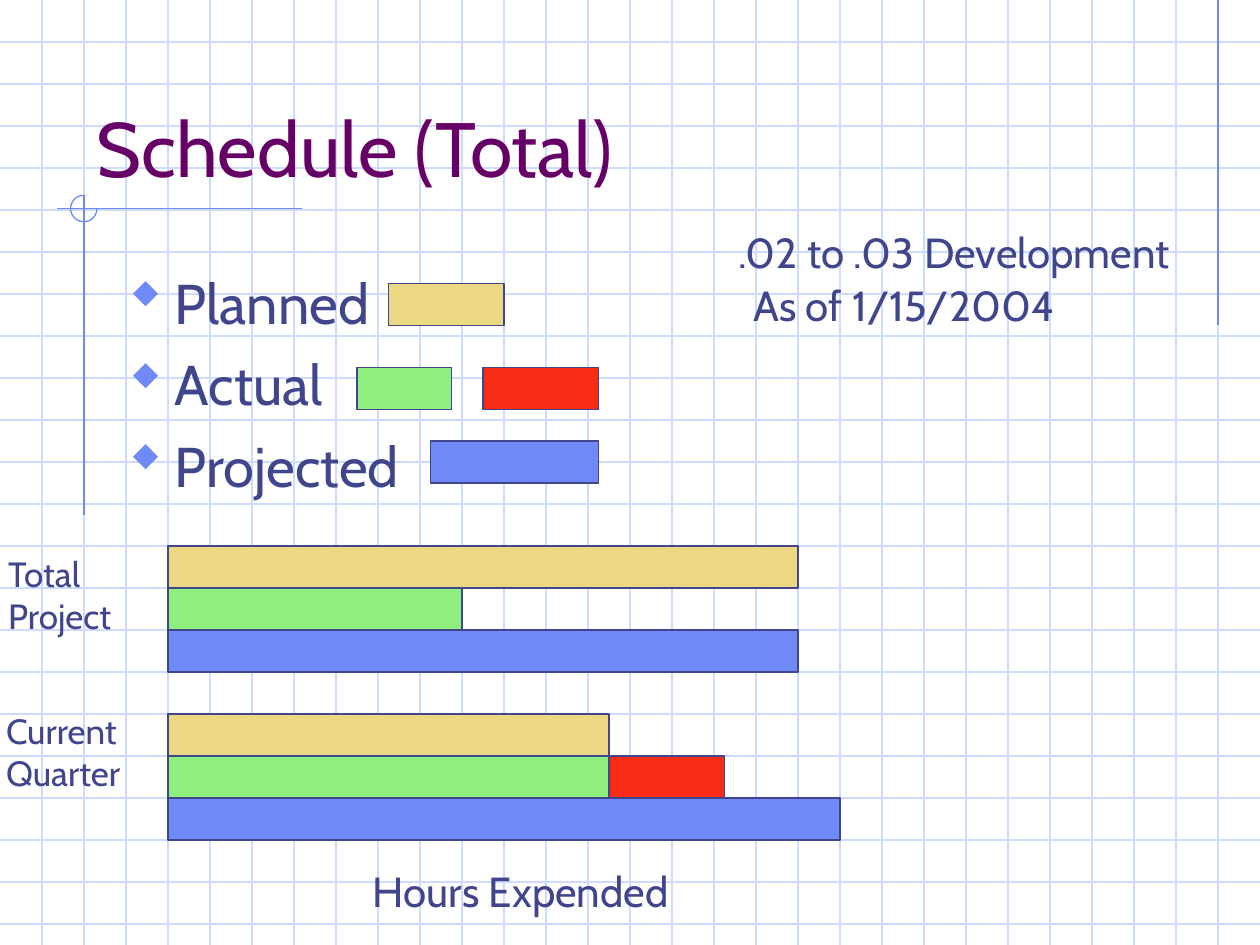
"""Build the schedule slide with its legend and hour bars on squared paper."""
from lxml import etree
from pptx import Presentation, util as u
from pptx.dml.color import RGBColor
from pptx.enum import shapes, text
from pptx.oxml.ns import qn

GRID_BLUE = RGBColor(0xCF, 0xDB, 0xFD)
BLUE = RGBColor(0x6F, 0x89, 0xF7)
NAVY = RGBColor(0x40, 0x45, 0x8C)
PURPLE = RGBColor(0x66, 0x00, 0x66)
SAND = RGBColor(0xEC, 0xD8, 0x82)
GREEN = RGBColor(0x8F, 0xEF, 0x7F)
RED = RGBColor(0xF7, 0x2C, 0x17)

FONT = "Cabin"
BULLET_FONT, DIAMOND = "Wingdings", "w"
SQUARE = 2.54 / 3
COLUMNS, ROWS = 30, 22.5

TITLE = ("Schedule (Total)", (2, 1, 25.5, 3.75))
LEGEND = (["Planned", "Actual", "Projected"], (2.75, 6.25, 25.5, 13.5))
SWATCHES = [
    (8.5, 8.75, 2.25, GREEN),
    (9.25, 6.75, 2.75, SAND),
    (11.5, 8.75, 2.75, RED),
    (10.25, 10.5, 4, BLUE),
]
BAR_LEFT = 4
BAR_GROUPS = [
    (13, [[(15, SAND)], [(7, GREEN)], [(15, BLUE)]]),
    (17, [[(10.5, SAND)], [(10.5, GREEN), (2.75, RED)], [(16, BLUE)]]),
]
LABELS = [
    ("Total\nProject", 20, (-0.1, 13, 3.33, 2.31)),
    ("Current\nQuarter", 20, (-0.15, 16.75, 3.7, 2.31)),
    (".02 to .03 Development", 24, (17.28, 5.25, 11.5, 1.5)),
    ("As of 1/15/2004", 24, (17.64, 6.5, 7.92, 1.5)),
    ("Hours Expended", 24, (8.58, 20.46, 8.37, 1.5)),
]
RULES = [
    (29, 0, 29, 7.75),
    (7.2, 4.97, 1.35, 4.97),
    (2, 4.65, 2, 12.27),
]
RING = (1.68, 4.65, 0.63, 0.63)


def squares(*counts):
    return [u.Cm(count * SQUARE) for count in counts]


def add_line(page, ends, color):
    line = page.shapes.add_connector(shapes.MSO_CONNECTOR.STRAIGHT, *squares(*ends))
    line.line.color.rgb = color
    line.line.width = u.Pt(0.75)
    etree.SubElement(line._element.spPr, qn("a:effectLst"))


def add_bar(page, left, top, width, color):
    bar = page.shapes.add_shape(shapes.MSO_SHAPE.RECTANGLE, *squares(left, top, width, 1))
    bar.shadow.inherit = False
    bar.fill.solid()
    bar.fill.fore_color.rgb = color
    bar.line.color.rgb = NAVY
    bar.line.width = u.Pt(0.75)


def add_text(page, words, place, size, color, wrap=False):
    frame = page.shapes.add_textbox(*squares(*place)).text_frame
    frame.word_wrap = wrap
    frame.text = words
    for para in frame.paragraphs:
        for span in para.runs:
            span.font.name = FONT
            span.font.size = u.Pt(size)
            span.font.color.rgb = color
    return frame


def add_bullet(para):
    props = para._p.get_or_add_pPr()
    props.set("marL", str(u.Cm(0.95)))
    props.set("indent", str(u.Cm(-0.95)))
    color = etree.SubElement(props, qn("a:buClr"))
    etree.SubElement(color, qn("a:srgbClr"), val=str(BLUE))
    etree.SubElement(props, qn("a:buSzPct"), val="110000")
    etree.SubElement(props, qn("a:buFont"), typeface=BULLET_FONT, charset="2")
    etree.SubElement(props, qn("a:buChar"), char=DIAMOND)


def add_background(page):
    for row in range(1, 23):
        add_line(page, (0, row, COLUMNS, row), GRID_BLUE)
    for column in range(1, COLUMNS):
        add_line(page, (column, 0, column, ROWS), GRID_BLUE)
    for ends in RULES:
        add_line(page, ends, BLUE)
    ring = page.shapes.add_shape(shapes.MSO_SHAPE.ARC, *squares(*RING))
    ring.adjustments[0], ring.adjustments[1] = 0, 162
    ring.shadow.inherit = False
    ring.fill.background()
    ring.line.color.rgb = BLUE
    ring.line.width = u.Pt(0.75)


def add_legend(page):
    names, place = LEGEND
    frame = add_text(page, "\n".join(names), place, 32, NAVY, wrap=True)
    for index, para in enumerate(frame.paragraphs):
        add_bullet(para)
        para.space_before = u.Pt(8 if index else 0)
    for swatch in SWATCHES:
        add_bar(page, *swatch)


def add_bar_groups(page):
    for top, rows in BAR_GROUPS:
        for offset, row in enumerate(rows):
            left = BAR_LEFT
            for width, color in row:
                add_bar(page, left, top + offset, width, color)
                left += width


def main():
    deck = Presentation()
    deck.slide_width, deck.slide_height = squares(COLUMNS, ROWS)
    page = deck.slides.add_slide(deck.slide_layouts[6])
    add_background(page)
    title = add_text(page, *TITLE, 44, PURPLE, wrap=True)
    title.vertical_anchor = text.MSO_ANCHOR.BOTTOM
    add_legend(page)
    add_bar_groups(page)
    for words, size, place in LABELS:
        add_text(page, words, place, size, NAVY)
    deck.save("out.pptx")


if __name__ == "__main__":
    main()
